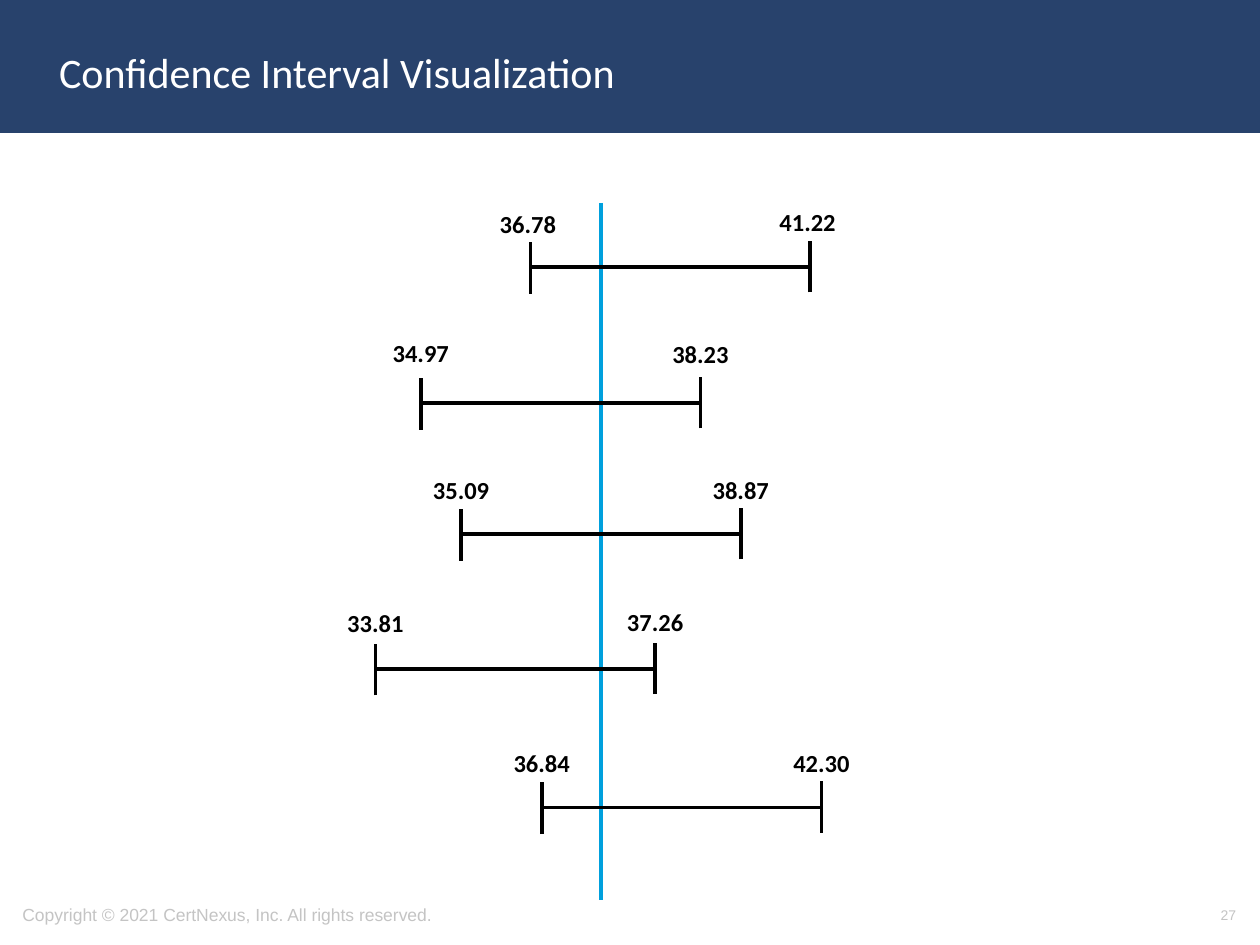
from pptx import Presentation
from pptx.dml.color import RGBColor
from pptx.enum.shapes import MSO_CONNECTOR, MSO_SHAPE
from pptx.enum.text import MSO_ANCHOR, PP_ALIGN
from pptx.oxml.ns import qn
from pptx.util import Inches, Pt
from lxml import etree

STRAIGHT = MSO_CONNECTOR.STRAIGHT
RECTANGLE = MSO_SHAPE.RECTANGLE
TOP, MIDDLE = MSO_ANCHOR.TOP, MSO_ANCHOR.MIDDLE
LEFT, CENTER, RIGHT = PP_ALIGN.LEFT, PP_ALIGN.CENTER, PP_ALIGN.RIGHT

NAVY, BLUE, BLACK, WHITE, GRAY = "28426C", "00A0DD", "000000", "FFFFFF", "C4C4C4"
INTERVAL_WIDTH = 2.22
TICK_HEIGHT = 0.41

# Left end, bar height, label left, then text and top of each label.
INTERVALS = [
    (4.21, 2.12, 3.79, ("36.78", 1.61), ("41.22", 1.59)),
    (3.34, 3.2, 2.94, ("34.97", 2.63), ("38.23", 2.64)),
    (3.66, 4.24, 3.26, ("35.09", 3.72), ("38.87", 3.72)),
    (2.98, 5.31, 2.58, ("33.81", 4.78), ("37.26", 4.77)),
    (4.3, 6.41, 3.9, ("36.84", 5.89), ("42.30", 5.89)),
]


def color(hex_value):
    """Return the colour for a hex string."""
    return RGBColor.from_string(hex_value)


def add_band(s):
    """Draw the title band across the top."""
    sp = s.shapes.add_shape(RECTANGLE, 0, 0, Inches(10), Inches(1.04))
    sp.shadow.inherit = False
    sp.fill.solid()
    sp.fill.fore_color.rgb = color(NAVY)
    sp.line.color.rgb = color(NAVY)
    sp.line.width = Pt(2)


def add_text(s, text, box, size, font, hex_value, align=LEFT, anchor=MIDDLE, bold=False):
    """Add a one-paragraph text box."""
    tf = s.shapes.add_textbox(*map(Inches, box)).text_frame
    tf.word_wrap = True
    tf.vertical_anchor = anchor
    p = tf.paragraphs[0]
    p.text = text
    p.alignment = align
    p.font.size = Pt(size)
    p.font.name = font
    p.font.bold = bold
    p.font.color.rgb = color(hex_value)


def add_line(s, x1, y1, x2, y2, hex_value=BLACK, width=2):
    """Draw a straight line without a shadow."""
    sp = s.shapes.add_connector(STRAIGHT, *map(Inches, (x1, y1, x2, y2)))
    sp.line.color.rgb = color(hex_value)
    sp.line.width = Pt(width)
    etree.SubElement(sp._element.spPr, qn("a:effectLst"))


def add_interval(s, x, y, label_x, low, high):
    """Draw an interval bar with its end ticks and value labels."""
    add_line(s, x, y, x + INTERVAL_WIDTH, y)
    for offset, drop, (text, top) in ((0, 0.21, low), (INTERVAL_WIDTH, 0.2, high)):
        end = x + offset
        add_line(s, end, y + drop, end, y + drop - TICK_HEIGHT)
        add_text(s, text, (label_x + offset, top, 0.8, 0.34), 14, "Calibri",
                 BLACK, CENTER, TOP, True)


def main():
    """Build and save the slide."""
    prs = Presentation()
    prs.slide_width, prs.slide_height = Inches(10), Inches(7.5)
    s = prs.slides.add_slide(prs.slide_layouts[6])
    add_band(s)
    add_text(s, "Copyright © 2021 CertNexus, Inc. All rights reserved.",
             (0.08, 7.06, 5.27, 0.4), 10, "Arial", GRAY)
    add_text(s, "Confidence Interval Visualization",
             (0.37, 0.11, 8.62, 0.92), 24, "Calibri", WHITE)
    add_text(s, "27", (7.58, 7.06, 2.33, 0.4), 8, "Arial", GRAY, RIGHT)
    add_line(s, 4.77, 1.61, 4.77, 7.14, BLUE, 2.75)
    for interval in INTERVALS:
        add_interval(s, *interval)
    prs.save("out.pptx")


if __name__ == "__main__":
    main()
